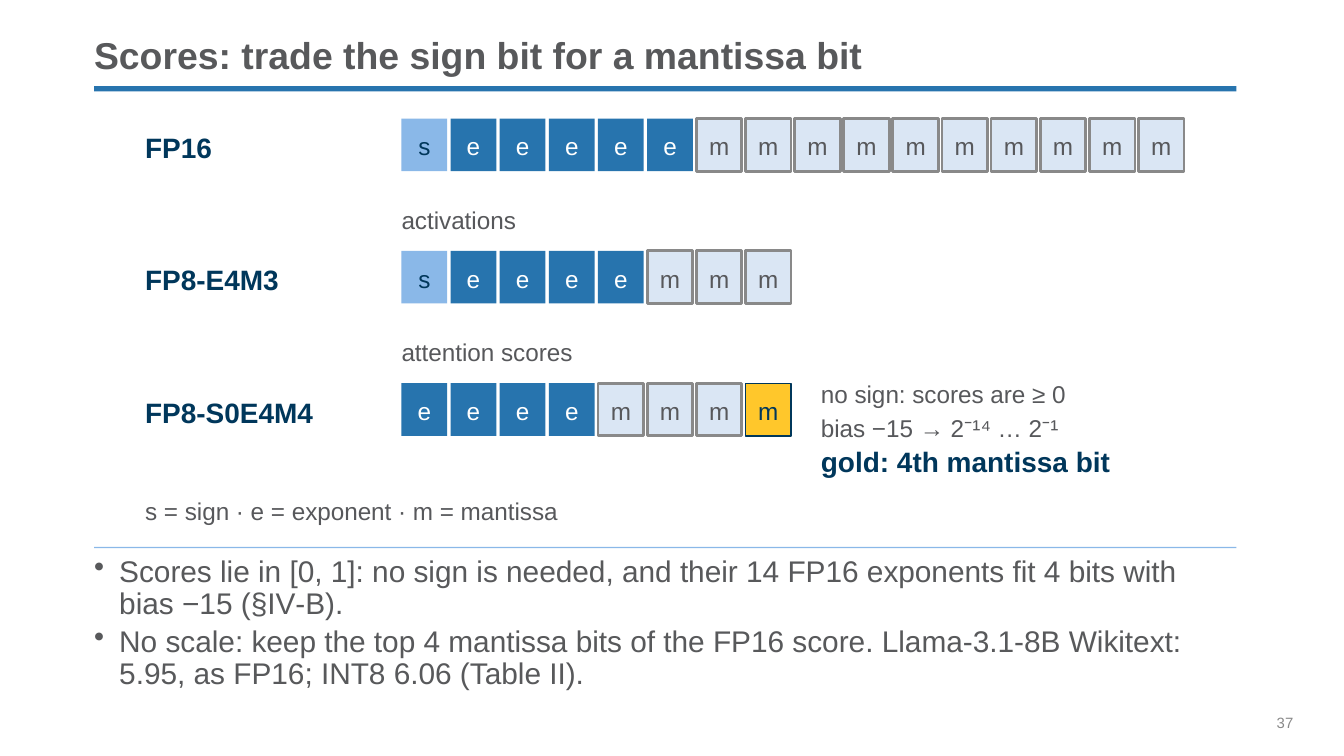
from pptx import Presentation
from pptx.dml.color import RGBColor
from pptx.enum.shapes import MSO_SHAPE
from pptx.enum.text import MSO_ANCHOR, PP_ALIGN
from pptx.oxml.ns import qn
from pptx.util import Pt
from lxml import etree

RECTANGLE = MSO_SHAPE.RECTANGLE
TOP, MIDDLE, BOTTOM = MSO_ANCHOR.TOP, MSO_ANCHOR.MIDDLE, MSO_ANCHOR.BOTTOM
CENTER = PP_ALIGN.CENTER

COLORS = {
    "text": "58595B", "note": "57585B", "navy": "00375B", "blue": "2774AE",
    "sky": "8AB8E8", "pale": "DAE6F4", "gray": "898989", "gold": "FFC72B",
    "white": "FFFFFF",
}

# Bit kind: letter, fill, text colour, outline colour, outline width
BITS = {
    "s": ("s", "sky", "navy", None, 0),
    "e": ("e", "blue", "white", None, 0),
    "m": ("m", "pale", "note", "gray", 1.5),
    "M": ("m", "gold", "navy", "navy", 0.75),  # the extra mantissa bit
}

# Format name, bits, caption above the bits
FORMATS = [
    ("FP16", "s" + "e" * 5 + "m" * 10, None),
    ("FP8-E4M3", "s" + "e" * 4 + "m" * 3, "activations"),
    ("FP8-S0E4M4", "e" * 4 + "m" * 3 + "M", "attention scores"),
]

BULLETS = [
    "Scores lie in [0, 1]: no sign is needed, and their 14 FP16 exponents "
    "fit 4 bits with bias −15 (§IV‑B).",
    "No scale: keep the top 4 mantissa bits of the FP16 score. "
    "Llama-3.1-8B Wikitext: 5.95, as FP16; INT8 6.06 (Table II).",
]

MARGIN, CONTENT_WIDTH = 50.4, 612
LABEL_LEFT, BITS_LEFT, NOTE_LEFT = 77.75, 215.1, 439.8
FIRST_ROW, ROW_STEP = 63.5, 70.9
BIT_STEP, BIT_WIDTH, BIT_HEIGHT = 26.32, 24.5, 28.2


def color(name):
    return RGBColor.from_string(COLORS[name])


def set_font(para, size, color_name, bold=False):
    para.font.name = "Arial"
    para.font.size = Pt(size)
    para.font.bold = bold
    para.font.color.rgb = color(color_name)


def prepare_frame(shape, anchor):
    frame = shape.text_frame
    frame.margin_left = frame.margin_right = 0
    frame.margin_top = frame.margin_bottom = 0
    frame.vertical_anchor = anchor
    frame.word_wrap = True
    return frame


def add_text(page, text, left, top, width, height, size, color_name,
             bold=False, anchor=MIDDLE):
    box = page.shapes.add_textbox(Pt(left), Pt(top), Pt(width), Pt(height))
    para = prepare_frame(box, anchor).paragraphs[0]
    para.text = text
    set_font(para, size, color_name, bold)
    return para


def add_label(page, text, left, top, width=210):
    add_text(page, text, left, top, width, 23, 15, "navy", bold=True)


def add_note(page, text, left, top, width=300):
    add_text(page, text, left, top, width, 19.5, 13, "note")


def add_rectangle(page, left, top, width, height, fill, line=None, weight=0):
    shape = page.shapes.add_shape(RECTANGLE, Pt(left), Pt(top), Pt(width), Pt(height))
    shape.shadow.inherit = False
    shape.fill.solid()
    shape.fill.fore_color.rgb = color(fill)
    if line:
        shape.line.color.rgb = color(line)
        shape.line.width = Pt(weight)
    else:
        shape.line.fill.background()
    return shape


def add_bit(page, kind, left, top):
    letter, fill, font_color, line, weight = BITS[kind]
    cell = add_rectangle(page, left, top, BIT_WIDTH, BIT_HEIGHT, fill, line, weight)
    frame = prepare_frame(cell, MIDDLE)
    frame.margin_top = Pt(1.5)
    para = frame.paragraphs[0]
    para.text = letter
    para.alignment = CENTER
    set_font(para, 13, font_color)


def add_format_row(page, top, name, bits, caption):
    add_label(page, name, LABEL_LEFT, top + 4, 130)
    if caption:
        add_note(page, caption, BITS_LEFT, top - 26.5)
    for column, kind in enumerate(bits):
        add_bit(page, kind, BITS_LEFT + column * BIT_STEP, top)


def add_bullets(page, items, left, top, width, height):
    box = page.shapes.add_textbox(Pt(left), Pt(top), Pt(width), Pt(height))
    frame = prepare_frame(box, TOP)
    for index, item in enumerate(items):
        para = frame.add_paragraph() if index else frame.paragraphs[0]
        para.text = item
        para.line_spacing = 0.9
        para.space_before = Pt(3 if index else 0)
        properties = para._p.get_or_add_pPr()
        properties.set("marL", str(Pt(13.5)))
        properties.set("indent", str(Pt(-13.5)))
        etree.SubElement(properties, qn("a:buChar"), char="•")
        set_font(para, 16, "text")


def main():
    deck = Presentation()
    deck.slide_width, deck.slide_height = Pt(720), Pt(405)
    page = deck.slides.add_slide(deck.slide_layouts[6])

    # Title and rules
    add_rectangle(page, MARGIN, 46.2, CONTENT_WIDTH, 2.8, "blue")
    add_rectangle(page, MARGIN, 293, CONTENT_WIDTH, 0.75, "sky")
    title = add_text(page, "Scores: trade the sign bit for a mantissa bit",
                     MARGIN, 15.8, CONTENT_WIDTH, 26, 20, "text", True, BOTTOM)
    title.line_spacing = 0.9

    # Bit layouts
    for row, (name, bits, caption) in enumerate(FORMATS):
        add_format_row(page, FIRST_ROW + row * ROW_STEP, name, bits, caption)

    # Notes beside the last layout, and the key
    add_note(page, "no sign: scores are ≥ 0", NOTE_LEFT, 201, 210)
    add_note(page, "bias −15 → 2⁻¹⁴ … 2⁻¹", NOTE_LEFT, 219.5, 210)
    add_label(page, "gold: 4th mantissa bit", NOTE_LEFT, 235.5)
    add_note(page, "s = sign · e = exponent · m = mantissa", LABEL_LEFT, 263.8)

    # Takeaways and page number
    add_bullets(page, BULLETS, MARGIN, 298, CONTENT_WIDTH, 76)
    add_text(page, "37", 684, 382.3, 36, 10, 8, "gray", anchor=TOP)

    deck.save("out.pptx")


if __name__ == "__main__":
    main()
